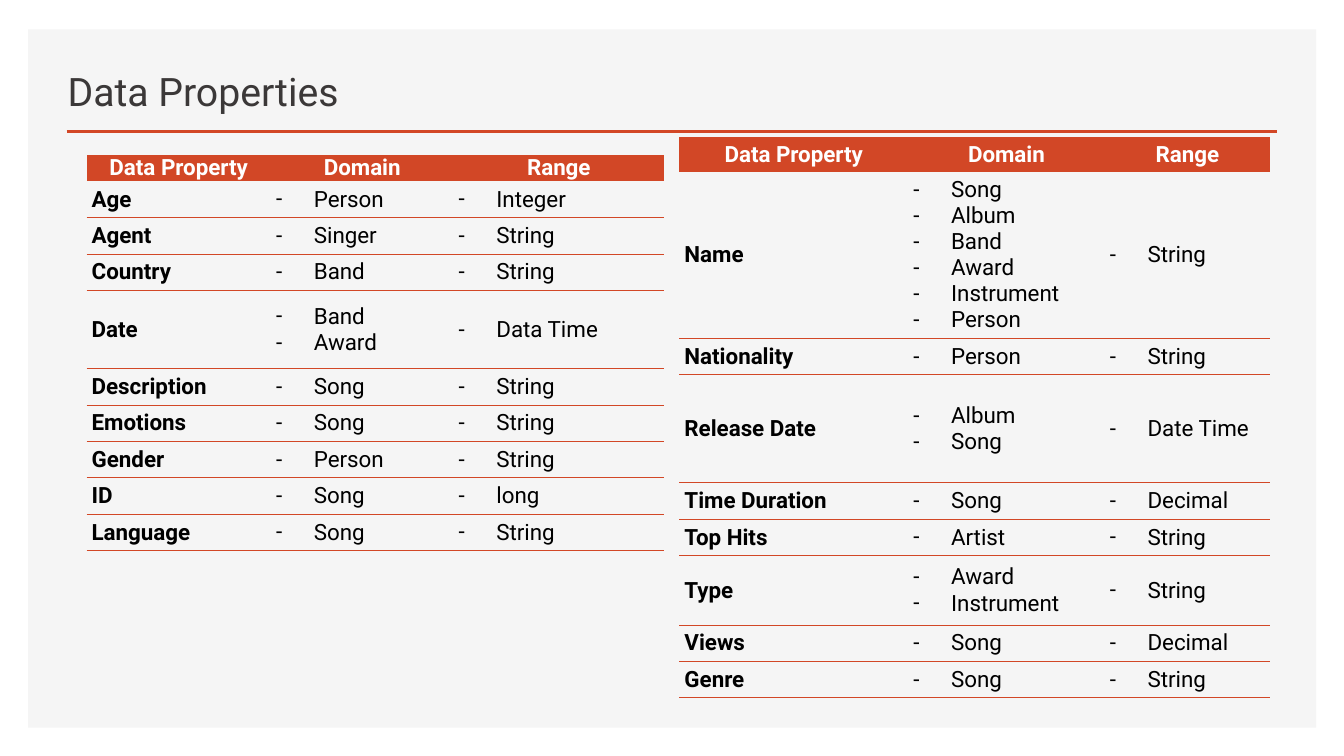
from lxml.etree import SubElement
from pptx import Presentation
from pptx.dml.color import RGBColor
from pptx.enum.shapes import MSO_CONNECTOR, MSO_SHAPE
from pptx.enum.text import MSO_ANCHOR, MSO_AUTO_SIZE, PP_ALIGN
from pptx.oxml.ns import qn
from pptx.util import Cm, Pt

RED = RGBColor(0xD2, 0x47, 0x26)
PANEL_GREY = RGBColor(0xF5, 0xF5, 0xF5)
TITLE_GREY = RGBColor(0x3B, 0x38, 0x38)
BLACK = RGBColor(0, 0, 0)
WHITE = RGBColor(0xFF, 0xFF, 0xFF)

HEADINGS = ("Data Property", "Domain", "Range")
ROW = 0.9
LEFT_PROPERTIES = [
    ("Age", "Person", "Integer", ROW),
    ("Agent", "Singer", "String", ROW),
    ("Country", "Band", "String", ROW),
    ("Date", "Band\nAward", "Data Time", 1.97),
    ("Description", "Song", "String", ROW),
    ("Emotions", "Song", "String", ROW),
    ("Gender", "Person", "String", ROW),
    ("ID", "Song", "long", ROW),
    ("Language", "Song", "String", ROW),
]
RIGHT_PROPERTIES = [
    ("Name", "Song\nAlbum\nBand\nAward\nInstrument\nPerson", "String", 4.2),
    ("Nationality", "Person", "String", ROW),
    ("Release Date", "Album\nSong", "Date Time", 2.72),
    ("Time Duration", "Song", "Decimal", ROW),
    ("Top Hits", "Artist", "String", ROW),
    ("Type", "Award\nInstrument", "String", 1.75),
    ("Views", "Song", "Decimal", ROW),
    ("Genre", "Song", "String", ROW),
]


def write_text(frame, text, size=16, color=BLACK, bold=False, align=PP_ALIGN.LEFT, dash=False):
    frame.text = text
    for paragraph in frame.paragraphs:
        if dash:
            properties = paragraph._p.get_or_add_pPr()
            properties.set("marL", str(Cm(0.95)))
            properties.set("indent", str(-Cm(0.95)))
            SubElement(properties, qn("a:buFont"), typeface="Roboto")
            SubElement(properties, qn("a:buChar"), char="-")
        paragraph.alignment = align
        for run in paragraph.runs:
            run.font.name = "Roboto"
            run.font.size = Pt(size)
            run.font.bold = bold
            run.font.color.rgb = color


def set_borders(cell, ruled):
    properties = cell._tc.get_or_add_tcPr()
    for side in ("lnL", "lnR", "lnT", "lnB"):
        border = SubElement(properties, qn(f"a:{side}"), w=str(Pt(0.75)))
        if side in ruled:
            fill = SubElement(border, qn("a:solidFill"))
            SubElement(fill, qn("a:srgbClr"), val=str(RED))
        else:
            SubElement(border, qn("a:noFill"))


def format_cell(cell, ruled, side_inset, end_inset):
    set_borders(cell, ruled)
    cell.vertical_anchor = MSO_ANCHOR.MIDDLE
    cell.margin_left = cell.margin_right = Cm(side_inset)
    cell.margin_top = cell.margin_bottom = Cm(end_inset)


def add_backdrop(slide, left, top, width, height):
    panel = slide.shapes.add_shape(
        MSO_SHAPE.RECTANGLE, Cm(left), Cm(top), Cm(width), Cm(height))
    panel.shadow.inherit = False
    panel.fill.solid()
    panel.fill.fore_color.rgb = PANEL_GREY
    panel.line.fill.background()
    slide.shapes.element.insert(2, panel.element)


def add_heading(slide, left, top, width, height):
    title = slide.shapes.title
    title.left, title.top = Cm(left), Cm(top)
    title.width, title.height = Cm(19.1), Cm(1.78)
    title.text_frame.auto_size = MSO_AUTO_SIZE.NONE
    title.text_frame.vertical_anchor = MSO_ANCHOR.BOTTOM
    write_text(title.text_frame, "Data Properties", size=28, color=TITLE_GREY)

    rule_y = Cm(top + height)
    underline = slide.shapes.add_connector(
        MSO_CONNECTOR.STRAIGHT, Cm(left + 0.23), rule_y, Cm(left + width), rule_y)
    underline.line.color.rgb = RED
    underline.line.width = Pt(2)
    SubElement(underline._element.spPr, qn("a:effectLst"))


def add_property_table(slide, left, top, widths, header_height, properties):
    heights = [header_height] + [entry[-1] for entry in properties]
    table = slide.shapes.add_table(
        len(heights), len(widths), Cm(left), Cm(top), Cm(sum(widths)), Cm(sum(heights))).table
    table.horz_banding = False
    for column, width in zip(table.columns, widths):
        column.width = Cm(width)
    for row, height in zip(table.rows, heights):
        row.height = Cm(height)

    for cell, heading in zip(table.rows[0].cells, HEADINGS):
        format_cell(cell, (), 0.15, 0)
        cell.fill.solid()
        cell.fill.fore_color.rgb = RED
        write_text(cell.text_frame, heading, color=WHITE, bold=True, align=PP_ALIGN.CENTER)

    for r, entry in enumerate(properties, start=1):
        ruled = ("lnB",) if r == 1 else ("lnT", "lnB")
        for c, text in enumerate(entry[:-1]):
            cell = table.cell(r, c)
            format_cell(cell, ruled, 0.13, 0.13)
            cell.fill.background()
            write_text(cell.text_frame, text, bold=c == 0, dash=c > 0)


def main():
    deck = Presentation()
    deck.slide_width, deck.slide_height = Cm(33.87), Cm(19.05)
    slide = deck.slides.add_slide(deck.slide_layouts[5])
    add_backdrop(slide, 0.71, 0.74, 32.46, 17.6)
    add_heading(slide, 1.45, 1.24, 30.73, 2.08)
    add_property_table(slide, 2.18, 3.91, (4.65, 4.6, 5.31), 0.65, LEFT_PROPERTIES)
    add_property_table(slide, 17.12, 3.45, (5.77, 4.95, 4.17), 0.88, RIGHT_PROPERTIES)
    deck.save("out.pptx")


if __name__ == "__main__":
    main()
